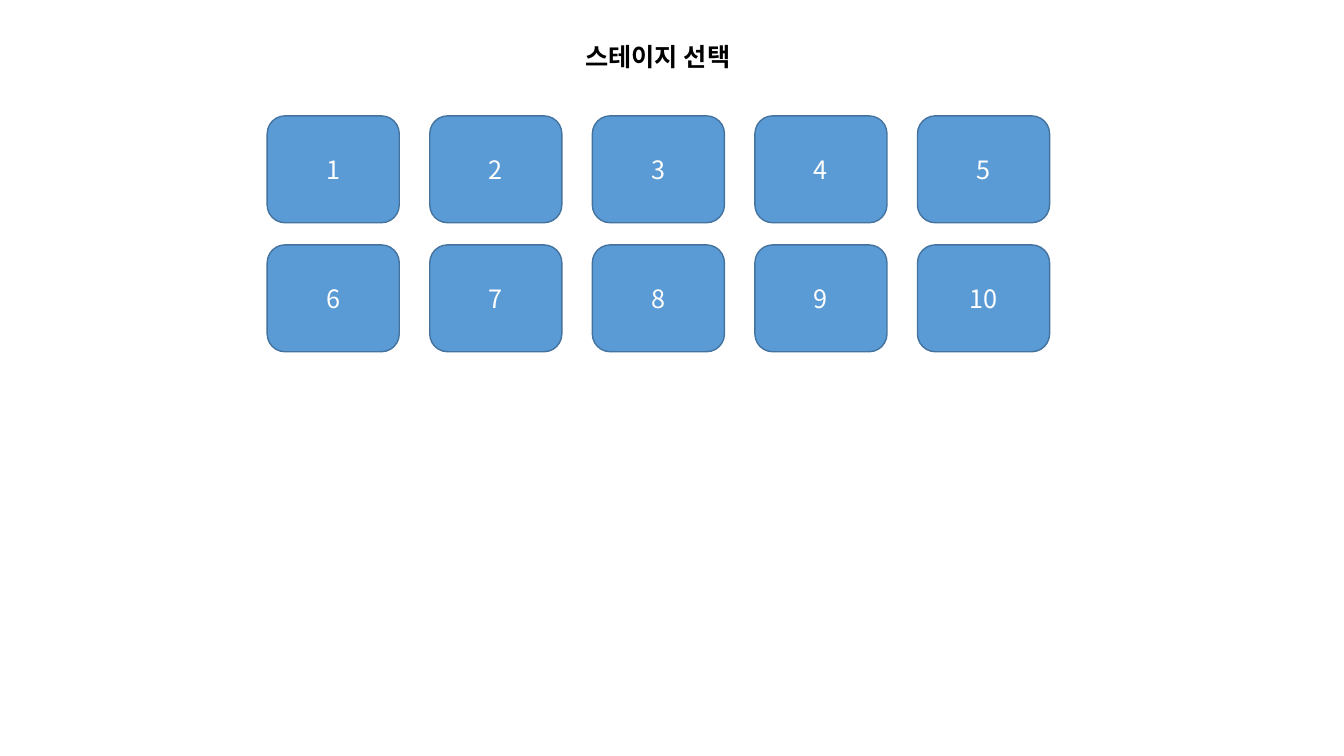
import lxml.etree
import pptx
import pptx.dml.color
import pptx.enum.shapes
import pptx.enum.text
import pptx.oxml.ns
import pptx.util

Inches = pptx.util.Inches
RGBColor = pptx.dml.color.RGBColor

BLACK = RGBColor(0x00, 0x00, 0x00)
WHITE = RGBColor(0xFF, 0xFF, 0xFF)
BLUE = RGBColor(0x5B, 0x9B, 0xD5)
EDGE = RGBColor(0x43, 0x73, 0x9E)
FACE = "Noto Sans CJK KR"
COLS, ROWS = 5, 2


def write(frame, text, color, bold=False):
    frame.word_wrap = True
    para = frame.paragraphs[0]
    para.text = text
    para.alignment = pptx.enum.text.PP_ALIGN.CENTER
    font = para.font
    font.name = FACE
    font.size = pptx.util.Pt(18)
    font.bold = bold
    font.color.rgb = color
    qn = pptx.oxml.ns.qn
    props = para._p.find(qn("a:pPr")).find(qn("a:defRPr"))
    lxml.etree.SubElement(props, qn("a:ea"), typeface=FACE)


def add_title(slide, left, top, width, height):
    box = slide.shapes.add_textbox(
        Inches(left), Inches(top), Inches(width), Inches(height))
    write(box.text_frame, "스테이지 선택", BLACK, True)
    box.text_frame.auto_size = pptx.enum.text.MSO_AUTO_SIZE.SHAPE_TO_FIT_TEXT


def add_stages(slide, left, top, width, height):
    wide, high = 1.31, 1.06
    step_x = (width - wide) / (COLS - 1)
    step_y = (height - high) / (ROWS - 1)
    group = slide.shapes.add_group_shape()
    for index in range(COLS * ROWS):
        row, col = divmod(index, COLS)
        stage = group.shapes.add_shape(
            pptx.enum.shapes.MSO_SHAPE.ROUNDED_RECTANGLE,
            Inches(left + col * step_x), Inches(top + row * step_y),
            Inches(wide), Inches(high))
        stage.shadow.inherit = False
        stage.fill.solid()
        stage.fill.fore_color.rgb = BLUE
        stage.line.color.rgb = EDGE
        stage.line.width = pptx.util.Pt(1)
        stage.text_frame.vertical_anchor = pptx.enum.text.MSO_ANCHOR.MIDDLE
        write(stage.text_frame, str(index + 1), WHITE)


def main():
    deck = pptx.Presentation()
    deck.slide_width = Inches(13.33)
    deck.slide_height = Inches(7.5)
    slide = deck.slides.add_slide(deck.slide_layouts[6])
    add_title(slide, 3.36, 0.36, 6.33, 0.4)
    add_stages(slide, 2.65, 1.15, 7.76, 2.34)
    deck.save("out.pptx")


if __name__ == "__main__":
    main()
